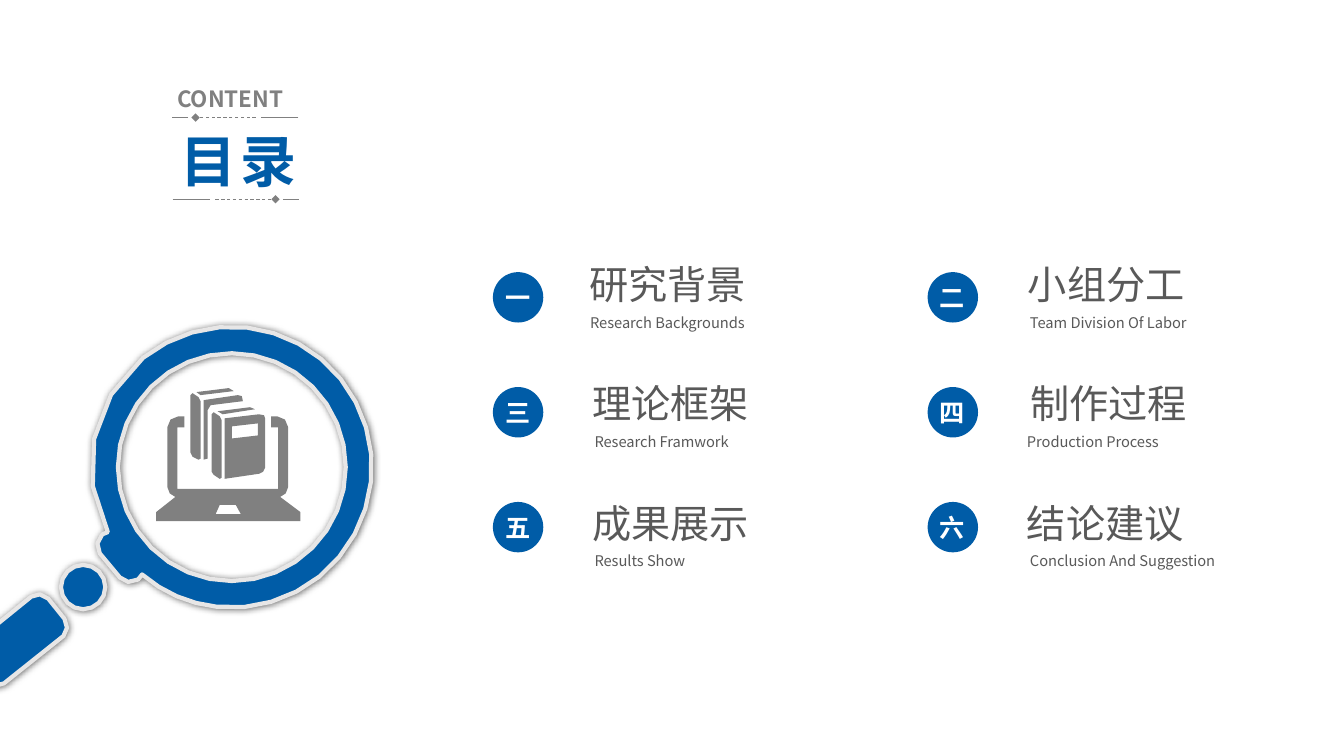
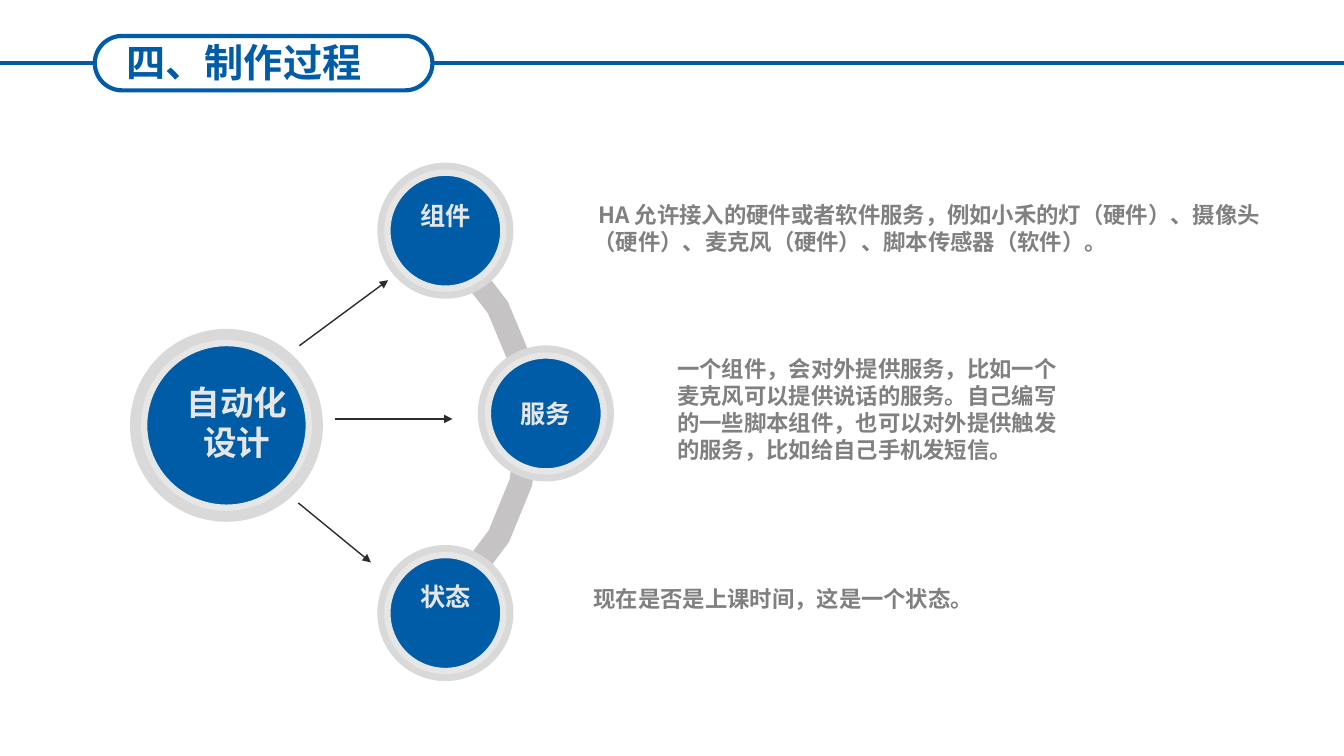
import math

import pptx
import pptx.dml.color
import pptx.enum.dml
import pptx.enum.shapes
import pptx.enum.text
import pptx.oxml
import pptx.oxml.ns
import pptx.util

# Colours and font
BLUE = pptx.dml.color.RGBColor(0x00, 0x5C, 0xA7)
GREY = pptx.dml.color.RGBColor(0x80, 0x80, 0x80)
DARK_GREY = pptx.dml.color.RGBColor(0x59, 0x59, 0x59)
ARC_GREY = pptx.dml.color.RGBColor(0xC5, 0xC3, 0xC3)
DISC_GREY = pptx.dml.color.RGBColor(0xD9, 0xD9, 0xD9)
PALE = pptx.dml.color.RGBColor(0xE7, 0xE6, 0xE6)
BLACK = pptx.dml.color.RGBColor(0x2E, 0x2C, 0x2C)
WHITE = pptx.dml.color.RGBColor(0xFF, 0xFF, 0xFF)
FONT = "Noto Sans CJK SC"

# Grid of square cells; outlines are plotted in finer units
COLUMNS, ROWS = 40, 22.5
CELL = pptx.util.Inches(7.5) / ROWS
UNIT = 0.03 * CELL

LEFT = pptx.enum.text.PP_ALIGN.LEFT
CENTER = pptx.enum.text.PP_ALIGN.CENTER
ELLIPSE = pptx.enum.shapes.MSO_SHAPE.OVAL
PILL = pptx.enum.shapes.MSO_SHAPE.ROUNDED_RECTANGLE

# Number, title and its left edge, caption with its left edge and width
TOPICS = [
    ("一", "研究背景", 17.25, "Research Backgrounds", 17.27, 5.4),
    ("二", "小组分工", 30.3, "Team Division Of Labor", 30.36, 5.49),
    ("三", "理论框架", 17.34, "Research Framwork", 17.4, 4.68),
    ("四", "制作过程", 30.36, "Production Process", 30.27, 4.62),
    ("五", "成果展示", 17.34, "Results Show", 17.4, 3.36),
    ("六", "结论建议", 30.27, "Conclusion And Suggestion", 30.36, 6.39),
]

# Outlines: a pair is a corner, six numbers are a Bézier curve
HANDLE = [
    (-27, 639), (-32, 643, -33, 651, -28, 656), (-13, 676),
    (-8, 681, -1, 682, 4, 678), (63, 631), (67, 627, 68, 619, 64, 614),
    (48, 594), (43, 589, 36, 588, 31, 592),
]
RIM = [
    (215, 602), (252, 606, 288, 595, 317, 572), (346, 548, 364, 515, 368, 478),
    (372, 441, 361, 405, 338, 376), (315, 347, 281, 329, 245, 325),
    (208, 321, 171, 332, 142, 355), (90, 397, 76, 470, 107, 528),
    (102, 530), (101, 531), (96, 535, 95, 543, 99, 549),
    (119, 573), (123, 578, 131, 579, 137, 575), (141, 570),
    (162, 588, 187, 599, 215, 602),
]
LAPTOP = [
    (176, 424), (183, 424), (183, 413), (177, 413), (171, 413, 166, 418, 166, 424),
    (166, 483), (166, 488, 170, 492, 174, 493), (155, 508), (155, 517), (298, 517),
    (298, 508), (278, 493), (282, 492, 286, 488, 286, 483), (286, 424),
    (286, 418, 281, 413, 275, 413), (269, 413), (269, 424), (276, 424),
    (276, 485), (176, 485),
]
TOUCHPAD = [(218, 501), (234, 501), (239, 510), (214, 510)]
BOOKS = [
    [(195, 389), (199, 392), (232, 388), (227, 385)],
    [(191, 390), (197, 394), (199, 398), (199, 455), (197, 456), (191, 453),
     (189, 449), (189, 392)],
    [(202, 397), (236, 392), (240, 393), (241, 398), (209, 402), (206, 407),
     (206, 455), (202, 456)],
    [(216, 408), (221, 411), (253, 406), (248, 404)],
    [(212, 409), (218, 413), (220, 417), (220, 474), (218, 475), (212, 471),
     (210, 468), (210, 411)],
    [(223, 415), (257, 411), (262, 412), (263, 415), (263, 464), (261, 468),
     (257, 470), (223, 475)],
    [(230, 423), (256, 420), (256, 432), (230, 435)],
]
ARC = [
    (407, 234), (471, 271, 513, 340, 513, 419), (513, 497, 472, 565, 411, 603),
    (422, 623), (491, 581, 536, 506, 536, 419), (536, 332, 489, 255, 419, 214),
]


def cells(*lengths):
    return [round(length * CELL) for length in lengths]


def write(frame, text, size, color, bold=False, align=LEFT, spacing=None):
    para = frame.paragraphs[0]
    para.text = text
    para.alignment = align
    font = para.font
    font.size = pptx.util.Pt(size)
    font.bold = bold
    font.color.rgb = color
    font.name = FONT
    # East Asian typeface and letter spacing
    defaults = para._p.pPr.find(pptx.oxml.ns.qn("a:defRPr"))
    defaults.append(pptx.oxml.parse_xml(
        f'<a:ea {pptx.oxml.ns.nsdecls("a")} typeface="{FONT}"/>'))
    if spacing:
        defaults.set("spc", str(spacing * 100))


def add_text(page, place, text, size, color, wrap=True, **style):
    box = page.shapes.add_textbox(*cells(*place))
    box.text_frame.word_wrap = wrap
    box.text_frame.auto_size = pptx.enum.text.MSO_AUTO_SIZE.SHAPE_TO_FIT_TEXT
    write(box.text_frame, text, size, color, **style)


def paint(shape, fill=None, line=None, width=0):
    shape.shadow.inherit = False
    if fill is None:
        shape.fill.background()
    else:
        shape.fill.solid()
        shape.fill.fore_color.rgb = fill
    if line is None:
        shape.line.fill.background()
    else:
        shape.line.color.rgb = line
        shape.line.width = pptx.util.Pt(width)
    return shape


def add_shape(page, kind, place, **style):
    return paint(page.shapes.add_shape(kind, *cells(*place)), **style)


def add_line(page, start, end, color, width, tip=None, dashed=False):
    line = page.shapes.add_connector(
        pptx.enum.shapes.MSO_CONNECTOR.STRAIGHT, *cells(*start, *end))
    line.line.color.rgb = color
    line.line.width = pptx.util.Pt(width)
    if dashed:
        line.line.dash_style = pptx.enum.dml.MSO_LINE.DASH
    names = pptx.oxml.ns.nsdecls("a")
    if tip:
        line.line._get_or_add_ln().append(
            pptx.oxml.parse_xml(f'<a:tailEnd {names} type="{tip}"/>'))
    line._element.spPr.append(pptx.oxml.parse_xml(f"<a:effectLst {names}/>"))
    return line


def circle(x, y, radius, steps):
    turns = [2 * math.pi * step / steps for step in range(steps)]
    return [(x + radius * math.cos(turn), y + radius * math.sin(turn))
            for turn in turns]


def flatten(outline):
    """Turn curves into chords, with more of them on long curves."""
    points = []
    for part in outline:
        if len(part) == 2:
            points.append(part)
            continue
        knots = [points[-1], part[:2], part[2:4], part[4:]]
        steps = 4 if math.dist(knots[0], knots[3]) > 25 else 2
        for step in range(1, steps + 1):
            t = step / steps
            weights = [math.comb(3, k) * t**k * (1 - t)**(3 - k) for k in range(4)]
            points.append(tuple(
                sum(weight * knot[axis] for weight, knot in zip(weights, knots))
                for axis in range(2)))
    return [(round(x * UNIT), round(y * UNIT)) for x, y in points]


def add_outline(page, outlines, **style):
    contours = [flatten(outline) for outline in outlines]
    builder = page.shapes.build_freeform(*contours[0][0])
    for index, points in enumerate(contours):
        if index:
            builder.move_to(*points[0])
        builder.add_line_segments(points[1:], close=True)
    return paint(builder.convert_to_shape(), **style)


def add_rule(page, x, y, direction):
    """Solid, dashed with a diamond, solid; runs either way."""
    for start, end, tip in [(0, 1.11, None), (1.27, 3.06, "diamond"), (3.28, 3.75, None)]:
        add_line(page, (x + direction * start, y), (x + direction * end, y),
                 GREY, 0.6, tip=tip, dashed=bool(tip))


def add_topic(page, index, number, title, title_left, caption, caption_left, caption_width):
    row, column = divmod(index, 2)
    left, top = 14.67 + 12.94 * column, 8.1 + 3.42 * row
    add_shape(page, ELLIPSE, (left, top, 1.5, 1.5), fill=BLUE)
    add_text(page, (left + 0.07, top + 0.15, 1.29, 1.2), number, 18, WHITE, bold=True)
    top = 7.6 + 3.55 * row
    add_text(page, (title_left, top, 5.25, 1.71), title, 28, DARK_GREY, wrap=False)
    add_text(page, (caption_left, top + 1.58, caption_width, 0.84), caption, 10.5,
             DARK_GREY, wrap=False)


def add_magnifier(page):
    glass = add_outline(
        page, [HANDLE, RIM, circle(230, 463.5, 113, 32), circle(82.5, 582.5, 22, 16)],
        fill=BLUE, line=PALE, width=3)
    effects = glass._element.spPr.find(pptx.oxml.ns.qn("a:effectLst"))
    effects.append(pptx.oxml.parse_xml(
        f'<a:outerShdw {pptx.oxml.ns.nsdecls("a")} blurRad="63500" dist="0">'
        '<a:srgbClr val="000000"><a:alpha val="60000"/></a:srgbClr></a:outerShdw>'))
    add_outline(page, [LAPTOP, TOUCHPAD, *BOOKS], fill=GREY)


def add_node(page, x, y, size, inset, label, label_place, label_size):
    add_shape(page, ELLIPSE, (x, y, size, size), fill=DISC_GREY)
    inner = size - 2 * inset
    add_shape(page, ELLIPSE, (x + inset, y + inset, inner, inner),
              fill=BLUE, line=PALE, width=4.5)
    left, top, width, height = label_place
    add_text(page, (x + left, y + top, width, height), label, label_size, PALE,
             bold=True, align=CENTER)


def add_header(page, title):
    pill = add_shape(page, PILL, (2.82, 1.07, 10.05, 1.62), line=BLUE, width=3)
    pill.adjustments[0] = 0.5
    middle = 1.88
    add_line(page, (12.87, middle), (COLUMNS, middle), BLUE, 3).begin_connect(pill, 3)
    add_line(page, (0, middle), (2.82, middle), BLUE, 3).end_connect(pill, 1)
    add_text(page, (2.19, 0.99, 10.14, 1.71), title, 28, BLUE, bold=True, align=CENTER)


def build_contents(page):
    # Heading between two mirrored rules
    add_rule(page, 8.88, 3.5, -1)
    add_text(page, (4.35, 3.62, 5.49, 2.31), "目录", 40, BLUE,
             bold=True, align=CENTER, spacing=3)
    add_rule(page, 5.14, 5.93, 1)
    add_text(page, (4.98, 2.4, 4.08, 1.11), "CONTENT", 16, GREY, bold=True)
    # Topics in two columns
    for index, topic in enumerate(TOPICS):
        add_topic(page, index, *topic)
    add_magnifier(page)


def build_process(page):
    add_outline(page, [ARC], fill=ARC_GREY)
    # Arrows from the hub
    for start, end in [((8.91, 10.29), (11.55, 8.34)),
                       ((9.96, 12.47), (13.47, 12.47)),
                       ((8.88, 14.97), (11.04, 16.74))]:
        add_line(page, start, end, BLACK, 1, tip="triangle")
    # Hub and its three nodes
    add_node(page, 3.87, 9.79, 5.74, 0.42, "自动化设计", (1.32, 1.43, 3.72, 2.73), 24)
    for x, y, label, drop in [(11.23, 4.84, "组件", 0.98),
                              (14.22, 10.28, "服务", 1.42),
                              (11.23, 16.22, "状态", 0.94)]:
        add_node(page, x, y, 4.05, 0.3, label, (0.92, drop, 2.22, 1.2), 18)
    # Explanations
    for place, text, wrap in [
        ((19.86, 10.42, 12.03, 3.54),
         "一个组件，会对外提供服务，比如一个麦克风可以提供说话的服务。"
         "自己编写的一些脚本组件，也可以对外提供触发的服务，比如给自己手机发短信。", True),
        ((17.37, 5.84, 21.12, 1.92),
         " HA 允许接入的硬件或者软件服务，例如小禾的灯（硬件）、摄像头（硬件）、"
         "麦克风（硬件）、脚本传感器（软件）。", True),
        ((17.37, 17.28, 11.94, 1.11), "现在是否是上课时间，这是一个状态。", False),
    ]:
        add_text(page, place, text, 16, GREY, wrap=wrap, bold=True)
    add_header(page, "四、制作过程")


def main():
    deck = pptx.Presentation()
    deck.slide_width, deck.slide_height = cells(COLUMNS, ROWS)
    for build in (build_contents, build_process):
        build(deck.slides.add_slide(deck.slide_layouts[6]))
    deck.save("out.pptx")


if __name__ == "__main__":
    main()
